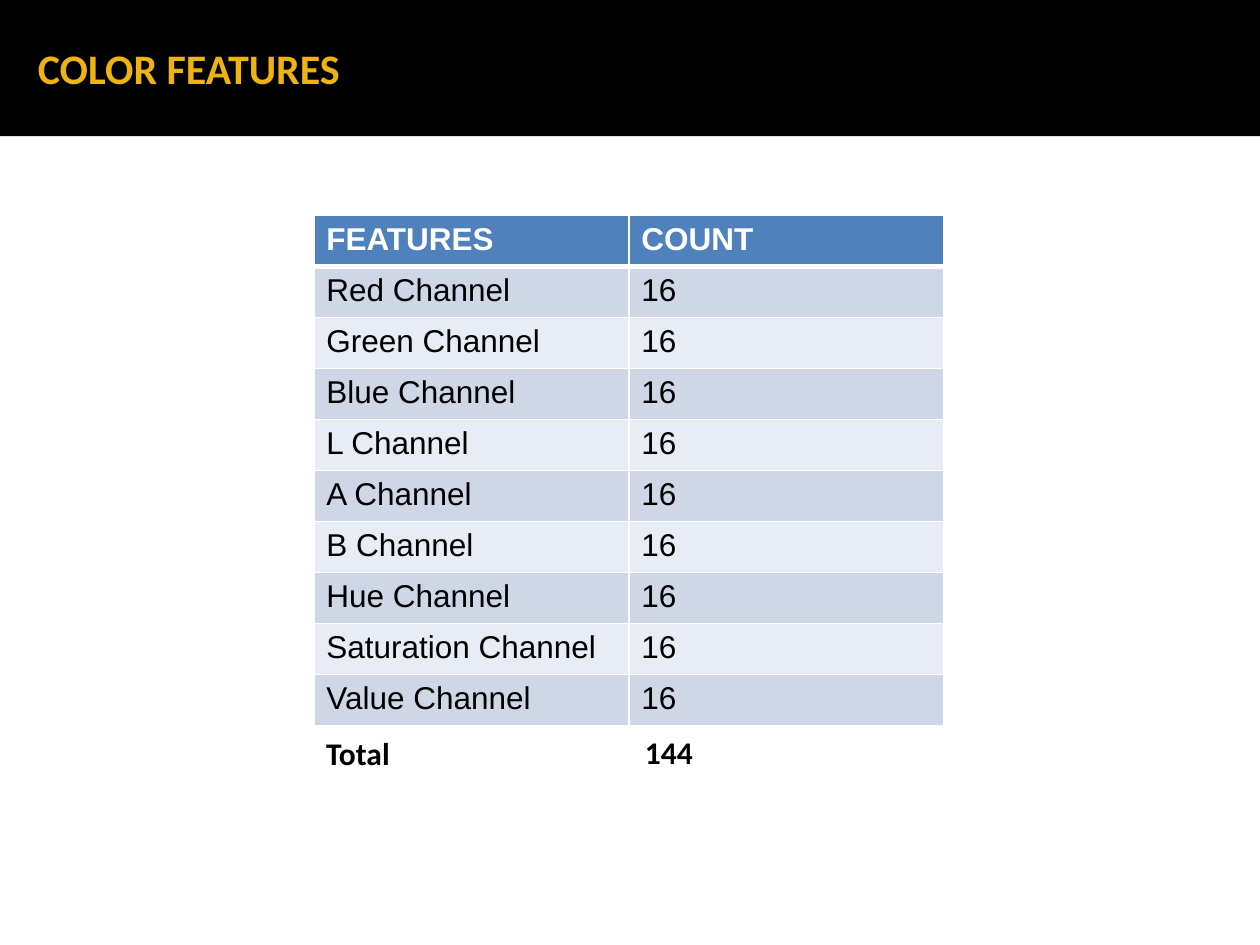
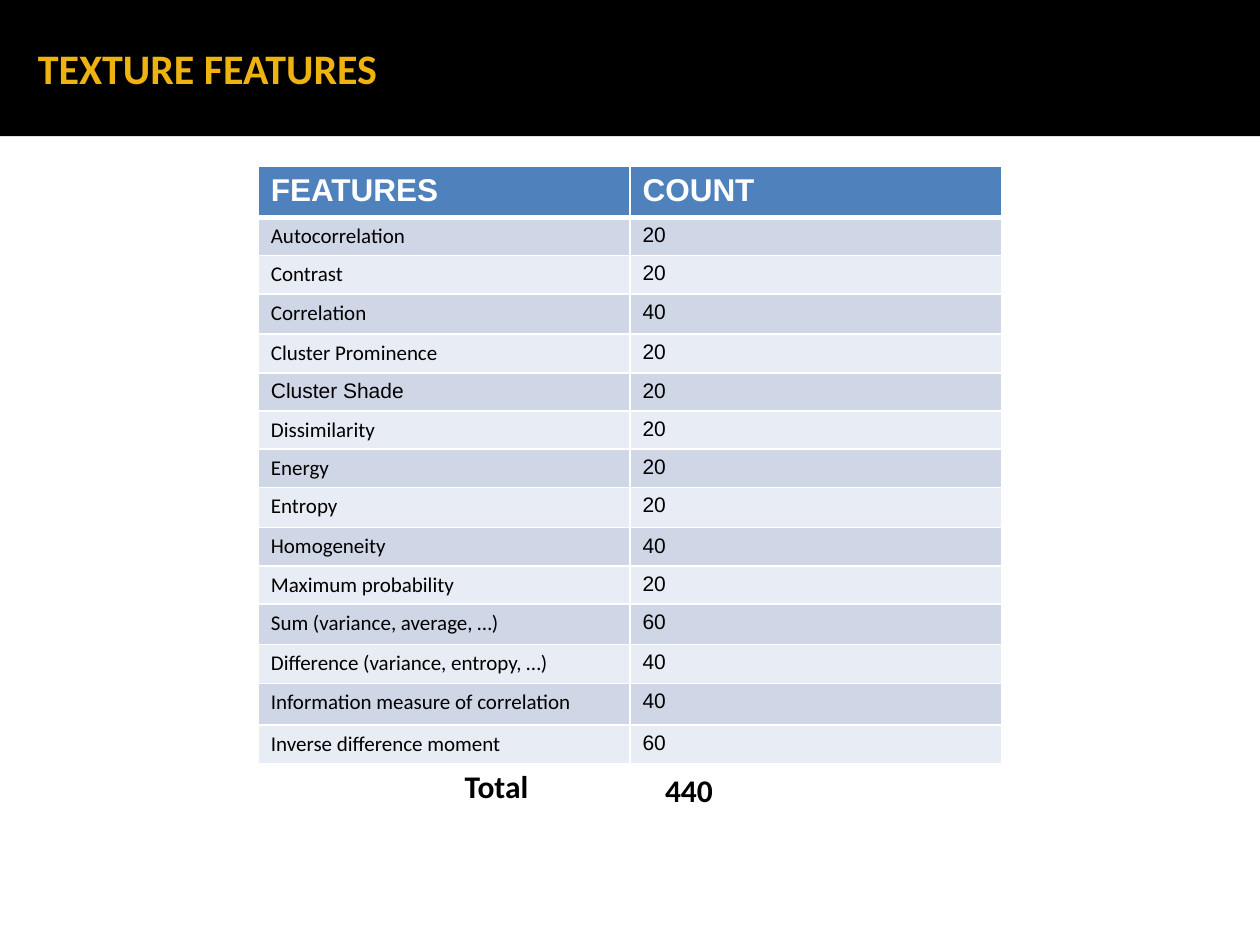
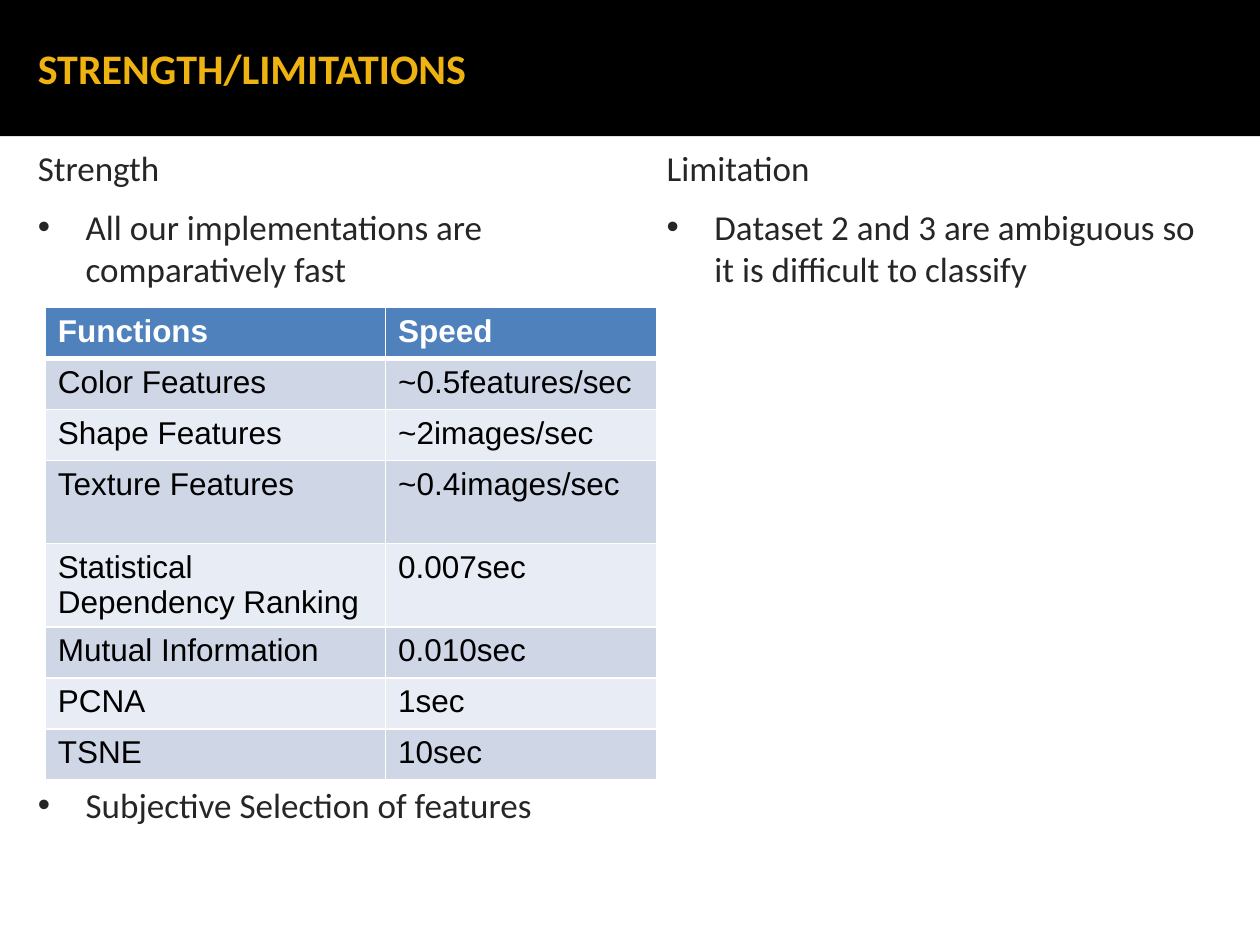
from pptx import Presentation
from pptx import util as u
from pptx.dml import color
from pptx.enum import text as t
from pptx.oxml import ns
from lxml import etree

INK = {"gold": "EEB211", "black": "000000", "white": "FFFFFF", "body": "262626",
       "head": "4F81BD", "odd": "CFD7E7", "even": "E8ECF4"}
TITLE = {"name": "Calibri", "size": u.Pt(24), "bold": True}
TOTAL = {"name": "Calibri", "size": u.Pt(18), "bold": True}
BODY = {"name": "Calibri", "size": u.Pt(20), "bold": False}
HEAD = {"name": "Arial", "size": u.Pt(18), "bold": True}
CELL = {**HEAD, "bold": False}
SMALL = {**CELL, "size": u.Pt(12)}
LABEL = {**SMALL, "name": "Calibri"}
ROW = 0.405


def rgb(name):
    return color.RGBColor.from_string(INK[name])


def paint(part, name):
    part.fill.solid()
    part.fill.fore_color.rgb = rgb(name)


def write(par, words, form, ink):
    run = par.add_run()
    run.text = words
    for key, val in form.items():
        setattr(run.font, key, val)
    run.font.color.rgb = rgb(ink)


def inset(frame, left, right):
    sides = {"margin_left": left, "margin_right": right,
             "margin_top": 0.05, "margin_bottom": 0.05}
    for key, val in sides.items():
        setattr(frame, key, u.Inches(val))
    frame.word_wrap = True
    frame.auto_size = t.MSO_AUTO_SIZE.NONE


def start(deck, words):
    slide = deck.slides.add_slide(deck.slide_layouts[5])
    band = slide.shapes.title
    place = {"left": 0, "top": 0, "width": 10, "height": 1.08}
    for key, val in place.items():
        setattr(band, key, u.Inches(val))
    paint(band, "black")
    frame = band.text_frame
    inset(frame, 0.3, 0.1)
    frame.vertical_anchor = t.MSO_ANCHOR.MIDDLE
    par = frame.paragraphs[0]
    par.alignment = t.PP_ALIGN.LEFT
    write(par, words, TITLE, "gold")
    return slide


def text_box(slide, box, left=0.1, right=0.1):
    frame = slide.shapes.add_textbox(*map(u.Inches, box)).text_frame
    inset(frame, left, right)
    return frame


def edge(cell, low):
    props = cell._tc.get_or_add_tcPr()
    for side, wide in (("L", 1), ("R", 1), ("T", 1), ("B", low)):
        line = etree.SubElement(props, ns.qn("a:ln" + side), w=str(u.Pt(wide)))
        fill = etree.SubElement(line, ns.qn("a:solidFill"))
        etree.SubElement(fill, ns.qn("a:srgbClr"), val=INK["white"])


def grid(slide, left, top, cols, rows, high, form=lambda row, col: CELL):
    box = map(u.Inches, (left, top, sum(cols), sum(high)))
    table = slide.shapes.add_table(len(rows), len(cols), *box).table
    for col, wide in zip(table.columns, cols):
        col.width = u.Inches(wide)
    for r, (row, tall) in enumerate(zip(rows, high)):
        table.rows[r].height = u.Inches(tall)
        for c, words in enumerate(row):
            cell = table.cell(r, c)
            edge(cell, 1 if r else 3)
            paint(cell, ("even", "odd")[r % 2] if r else "head")
            write(cell.text_frame.paragraphs[0], words,
                  form(r, c) if r else HEAD, "black" if r else "white")


def total(slide, name, count):
    for words, box in (name, count):
        write(text_box(slide, box).paragraphs[0], words, TOTAL, "black")


def column(slide, box, head, items):
    frame = text_box(slide, box, 0.3, 0.3)
    write(frame.paragraphs[0], head, BODY, "body")
    for words, gap in items:
        par = frame.add_paragraph()
        par.space_before = u.Pt(gap)
        props = par._p.get_or_add_pPr()
        props.set("marL", str(u.Inches(0.38)))
        props.set("indent", str(u.Inches(-0.38)))
        etree.SubElement(props, ns.qn("a:buFont"), typeface="Arial")
        etree.SubElement(props, ns.qn("a:buChar"), char="•")
        write(par, words, BODY, "body")


def colors(deck):
    slide = start(deck, "COLOR FEATURES")
    names = "Red Green Blue L A B Hue Saturation Value".split()
    rows = [("FEATURES", "COUNT")] + [(name + " Channel", "16") for name in names]
    grid(slide, 2.49, 1.71, (2.5, 2.5), rows, [ROW] * len(rows))
    total(slide, ("Total", (2.49, 5.78, 0.93, 0.4)), ("144", (5.02, 5.77, 0.7, 0.4)))


def textures(deck):
    slide = start(deck, "TEXTURE FEATURES")
    rows = [
        ("FEATURES", "COUNT"),
        ("Autocorrelation", "20"),
        ("Contrast", "20"),
        ("Correlation", "40"),
        ("Cluster Prominence", "20"),
        ("Cluster Shade", "20"),
        ("Dissimilarity", "20"),
        ("Energy", "20"),
        ("Entropy", "20"),
        ("Homogeneity", "40"),
        ("Maximum probability", "20"),
        ("Sum (variance, average, …)", "60"),
        ("Difference (variance, entropy, …)", "40"),
        ("Information measure of correlation", "40"),
        ("Inverse difference moment", "60"),
    ]
    high = [ROW, 0.3, 0.3, 0.32, 0.31, 0.3, 0.3, 0.3, 0.32, 0.3, 0.3, 0.32, 0.31, 0.33, 0.3]

    def form(row, col):
        return SMALL if col or rows[row][0] == "Cluster Shade" else LABEL

    grid(slide, 2.05, 1.32, (2.95, 2.95), rows, high, form)
    total(slide, ("Total", (3.59, 6.04, 0.93, 0.4)), ("440", (5.18, 6.07, 0.7, 0.4)))


def limits(deck):
    slide = start(deck, "STRENGTH/LIMITATIONS")
    column(slide, (0, 1.11, 4.99, 5.83), "Strength", [
        ("All our implementations are comparatively fast", 10),
        ("Subjective Selection of features", 282),
    ])
    column(slide, (4.99, 1.11, 5.01, 5.7), "Limitation", [
        ("Dataset 2 and 3 are ambiguous so it is difficult to classify", 10),
    ])
    rows = [
        ("Functions", "Speed"),
        ("Color Features", "~0.5features/sec"),
        ("Shape Features", "~2images/sec"),
        ("Texture Features", "~0.4images/sec"),
        ("Statistical Dependency Ranking", "0.007sec"),
        ("Mutual Information", "0.010sec"),
        ("PCNA", "1sec"),
        ("TSNE", "10sec"),
    ]
    high = [0.66 if r in (3, 4) else ROW for r in range(len(rows))]
    grid(slide, 0.36, 2.44, (2.7, 2.15), rows, high)


def main():
    deck = Presentation()
    deck.slide_width, deck.slide_height = u.Inches(10), u.Inches(7.5)
    for build in (colors, textures, limits):
        build(deck)
    deck.save("out.pptx")


if __name__ == "__main__":
    main()
